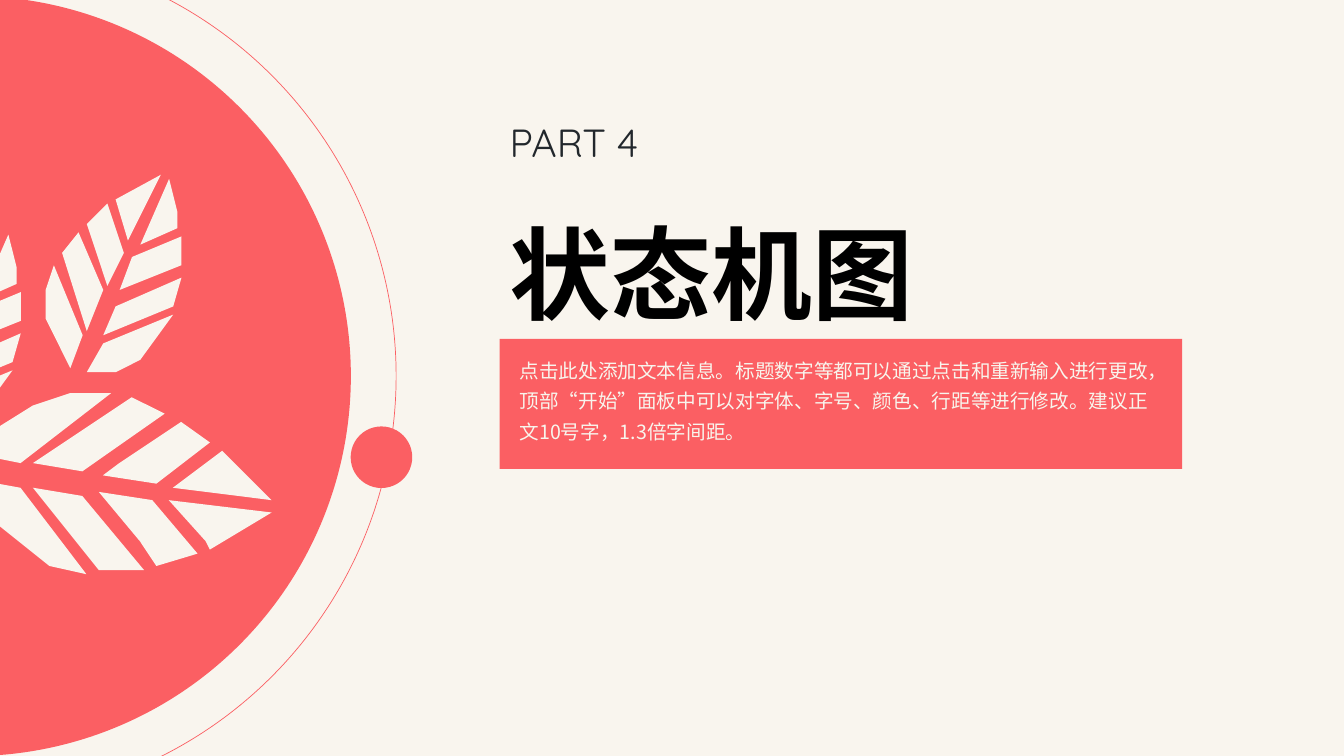
from lxml import etree
from pptx import Presentation
from pptx.dml.color import RGBColor
from pptx.enum import shapes, text
from pptx.oxml import ns
from pptx.util import Pt

CORAL, CREAM, INK, BLACK, PALE = "FB5F63", "F9F5EE", "22272C", "000000", "F8F5ED"
SANS, LATIN = "Noto Sans CJK SC", "Quicksand"

PART = "PART 4"
TITLE = "状态机图"
BODY = ("点击此处添加文本信息。标题数字等都可以通过点击和重新输入进行更改，"
        "顶部“开始”面板中可以对字体、字号、颜色、行距等进行修改。"
        "建议正文10号字，1.3倍字间距。")

BAND = (357, 242, 487.5, 93)
PART_BOX = (357, 70, 185, 53)
TITLE_BOX = (357, 138.5, 487.5, 86.5)
BODY_BOX = (364, 247.5, 469, 81.5)

DISC_CENTER = (-20.9, 268.6)
ORBIT_SIZE, DISC_SIZE = 607.7, 543
PLANET_CENTER, PLANET_SIZE = (272.5, 326.6), 44

LEAF_STEP = 2.94
LOW_LEAF = [
    [(50, 36), (51, 38), (66, 29), (41, 26)],
    [(24, 24), (34, 36), (38, 42), (48, 39), (37, 26)],
    [(8, 23), (24, 43), (35, 43), (20, 25)],
    [(-6, 21), (-3, 30), (12, 42), (21, 44), (5, 23)],
    [(54, 14), (42, 23), (66, 26), (60, 20)],
    [(25, 20), (38, 22), (51, 12), (44, 7), (29, 17)],
    [(40, 5), (32, 1), (8, 17), (20, 19)],
    [(-5, 15), (5, 17), (27, 0), (17, 0), (8, 3), (0, 8)],
]
LEFT_HALF = [
    [(20, 16), (28, 0), (17, 6)],
    [(15, 27), (19, 19), (15, 7), (10, 12)],
    [(10, 38), (14, 28), (8, 14), (4, 19)],
    [(2, 22), (0, 28), (0, 35), (6, 47), (9, 39)],
]
RIGHT_HALF = [
    [(32, 13), (32, 9), (30, 1), (23, 17)],
    [(18, 28), (33, 22), (33, 15), (21, 20)],
    [(14, 39), (31, 32), (33, 25), (17, 32)],
    [(10, 48), (17, 48), (23, 45), (31, 34), (14, 41)],
]
LEAVES = [
    ((0, 280.8), LOW_LEAF),
    ((-82.2, 164.6), RIGHT_HALF),
    ((32.6, 124.8), LEFT_HALF + RIGHT_HALF),
]


def color(value):
    return RGBColor.from_string(value)


def paint(shape, fill=None, line=None):
    shape.shadow.inherit = False
    if fill:
        shape.fill.solid()
        shape.fill.fore_color.rgb = color(fill)
    else:
        shape.fill.background()
    if line:
        shape.line.color.rgb = color(line)
        shape.line.width = Pt(0.5)
    else:
        shape.line.fill.background()


def add_circle(slide, center, size, **style):
    left, top = (Pt(middle - size / 2) for middle in center)
    circle = slide.shapes.add_shape(
        shapes.MSO_SHAPE.OVAL, left, top, Pt(size), Pt(size))
    paint(circle, **style)


def add_leaf(slide, origin, pieces):
    left, top = map(Pt, origin)
    group = slide.shapes.add_group_shape()
    for start, *rest in pieces:
        builder = group.shapes.build_freeform(*start, scale=Pt(LEAF_STEP))
        builder.add_line_segments(rest, close=True)
        paint(builder.convert_to_shape(left, top), fill=CREAM)


def write(shape, words, size, name, ink, anchor, bold=False):
    frame = shape.text_frame
    frame.word_wrap = True
    frame.auto_size = text.MSO_AUTO_SIZE.NONE
    frame.vertical_anchor = anchor
    frame.text = words
    paragraph = frame.paragraphs[0]
    paragraph.alignment = text.PP_ALIGN.LEFT
    paragraph.line_spacing = 1.3
    paragraph.space_before = Pt(10)
    font = paragraph.font
    font.size, font.name, font.bold = Pt(size), name, bold
    font.color.rgb = color(ink)
    properties = paragraph._p.pPr.find(ns.qn("a:defRPr"))
    etree.SubElement(properties, ns.qn("a:ea"), typeface=name)


def main():
    presentation = Presentation()
    presentation.slide_width, presentation.slide_height = Pt(960), Pt(540)
    slide = presentation.slides.add_slide(presentation.slide_layouts[5])
    slide.background.fill.solid()
    slide.background.fill.fore_color.rgb = color(CREAM)

    band = slide.shapes.add_shape(shapes.MSO_SHAPE.RECTANGLE, *map(Pt, BAND))
    paint(band, fill=CORAL)

    title = slide.shapes.title
    title.left, title.top, title.width, title.height = map(Pt, TITLE_BOX)
    part = slide.shapes.add_textbox(*map(Pt, PART_BOX))
    body = slide.shapes.add_textbox(*map(Pt, BODY_BOX))
    write(part, PART, 28, LATIN, INK, text.MSO_ANCHOR.MIDDLE)
    write(title, TITLE, 72, SANS, BLACK, text.MSO_ANCHOR.MIDDLE, bold=True)
    write(body, BODY, 14, SANS, PALE, text.MSO_ANCHOR.TOP)

    add_circle(slide, DISC_CENTER, ORBIT_SIZE, line=CORAL)
    add_circle(slide, DISC_CENTER, DISC_SIZE, fill=CORAL)
    add_circle(slide, PLANET_CENTER, PLANET_SIZE, fill=CORAL)
    for origin, pieces in LEAVES:
        add_leaf(slide, origin, pieces)

    presentation.save("out.pptx")


if __name__ == "__main__":
    main()
